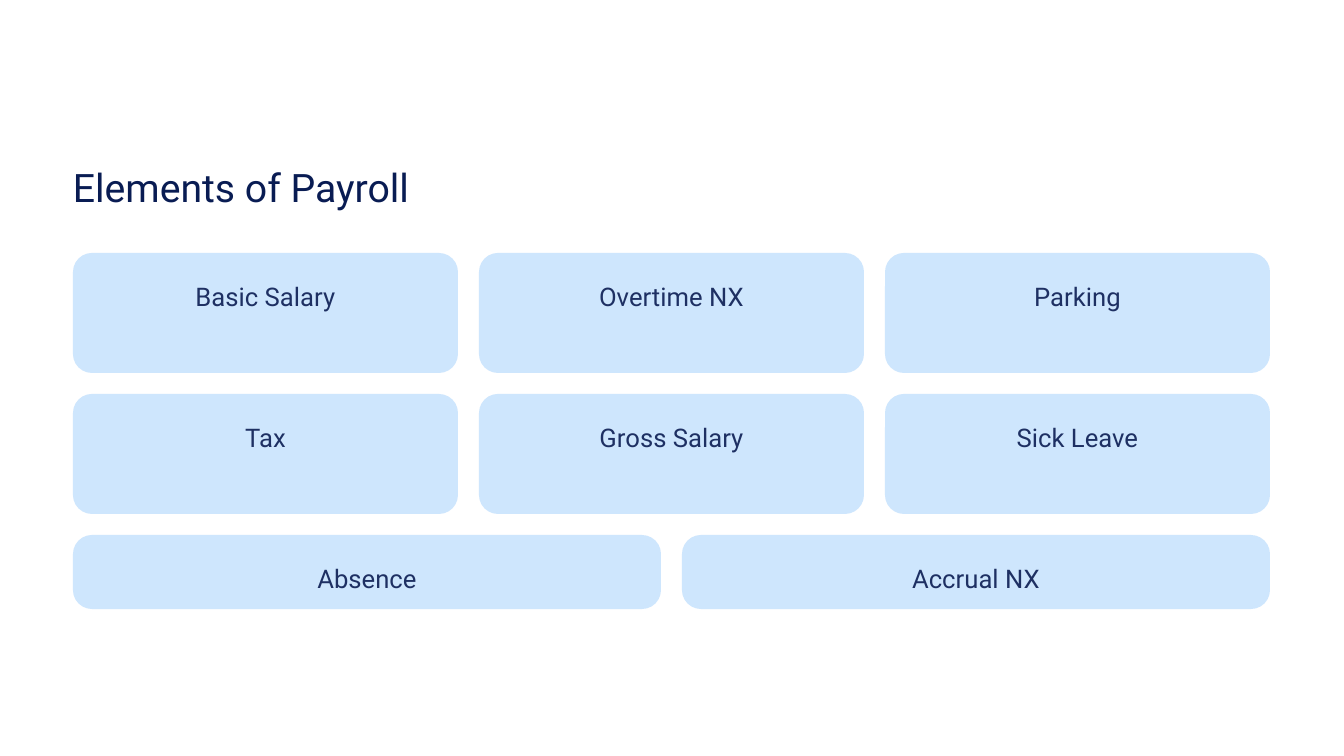
import dataclasses

import pptx
import pptx.dml.color
import pptx.enum.shapes
import pptx.enum.text
import pptx.slide
import pptx.text.text
import pptx.util

EMU_PER_PX = 914400 / 100.8
COLORS = {"title": "091C53", "label": "1E3063", "card": "CEE6FD"}
FONT = "Roboto"
LEFT, CONTENT_WIDTH, FIRST_TOP = 73, 1198, 253
GAP, RADIUS = 21, 19


@dataclasses.dataclass
class CardRow:
    labels: list[str]
    height: int


CARD_ROWS = [
    CardRow(["Basic Salary", "Overtime NX", "Parking"], 120),
    CardRow(["Tax", "Gross Salary", "Sick Leave"], 120),
    CardRow(["Absence", "Accrual NX"], 74),
]


def px(length: int) -> pptx.util.Emu:
    return pptx.util.Emu(round(length * EMU_PER_PX))


def rgb(name: str) -> pptx.dml.color.RGBColor:
    return pptx.dml.color.RGBColor.from_string(COLORS[name])


def write_text(frame: pptx.text.text.TextFrame, text: str, size: float, line: float,
               color: str, align: pptx.enum.text.PP_ALIGN, top_inset: int = 0) -> None:
    """Fill a frame with one top-anchored line of text."""
    frame.margin_left = frame.margin_right = frame.margin_bottom = 0
    frame.margin_top = px(top_inset)
    frame.vertical_anchor = pptx.enum.text.MSO_ANCHOR.TOP
    frame.auto_size = pptx.enum.text.MSO_AUTO_SIZE.NONE
    frame.word_wrap = True
    para = frame.paragraphs[0]
    para.alignment = align
    para.line_spacing = pptx.util.Pt(line)
    para.space_before = pptx.util.Pt(0)
    span = para.add_run()
    span.text = text
    span.font.name = FONT
    span.font.size = pptx.util.Pt(size)
    span.font.color.rgb = rgb(color)


def add_title(slide: pptx.slide.Slide, text: str) -> None:
    title = slide.shapes.title
    title.left, title.top, title.width, title.height = px(LEFT), px(146), px(521), px(65)
    write_text(title.text_frame, text, 28, 46.2, "title", pptx.enum.text.PP_ALIGN.LEFT)


def add_card_row(slide: pptx.slide.Slide, row: CardRow, top: int) -> None:
    count = len(row.labels)
    width = (CONTENT_WIDTH - GAP * (count - 1)) // count
    for column, label in enumerate(row.labels):
        left = LEFT + (CONTENT_WIDTH + GAP) * column // count
        card = slide.shapes.add_shape(
            pptx.enum.shapes.MSO_SHAPE.ROUNDED_RECTANGLE,
            px(left), px(top), px(width), px(row.height))
        card.adjustments[0] = RADIUS / row.height
        card.shadow.inherit = False
        card.fill.solid()
        card.fill.fore_color.rgb = rgb("card")
        card.line.fill.background()
        write_text(card.text_frame, label, 18.3, 22.9, "label",
                   pptx.enum.text.PP_ALIGN.CENTER, GAP)


def main() -> None:
    deck = pptx.Presentation()
    deck.slide_width, deck.slide_height = px(1344), px(756)
    slide = deck.slides.add_slide(deck.slide_layouts.get_by_name("Title Only"))
    add_title(slide, "Elements of Payroll")
    top = FIRST_TOP
    for row in CARD_ROWS:
        add_card_row(slide, row, top)
        top += row.height + GAP
    deck.save("out.pptx")


if __name__ == "__main__":
    main()
